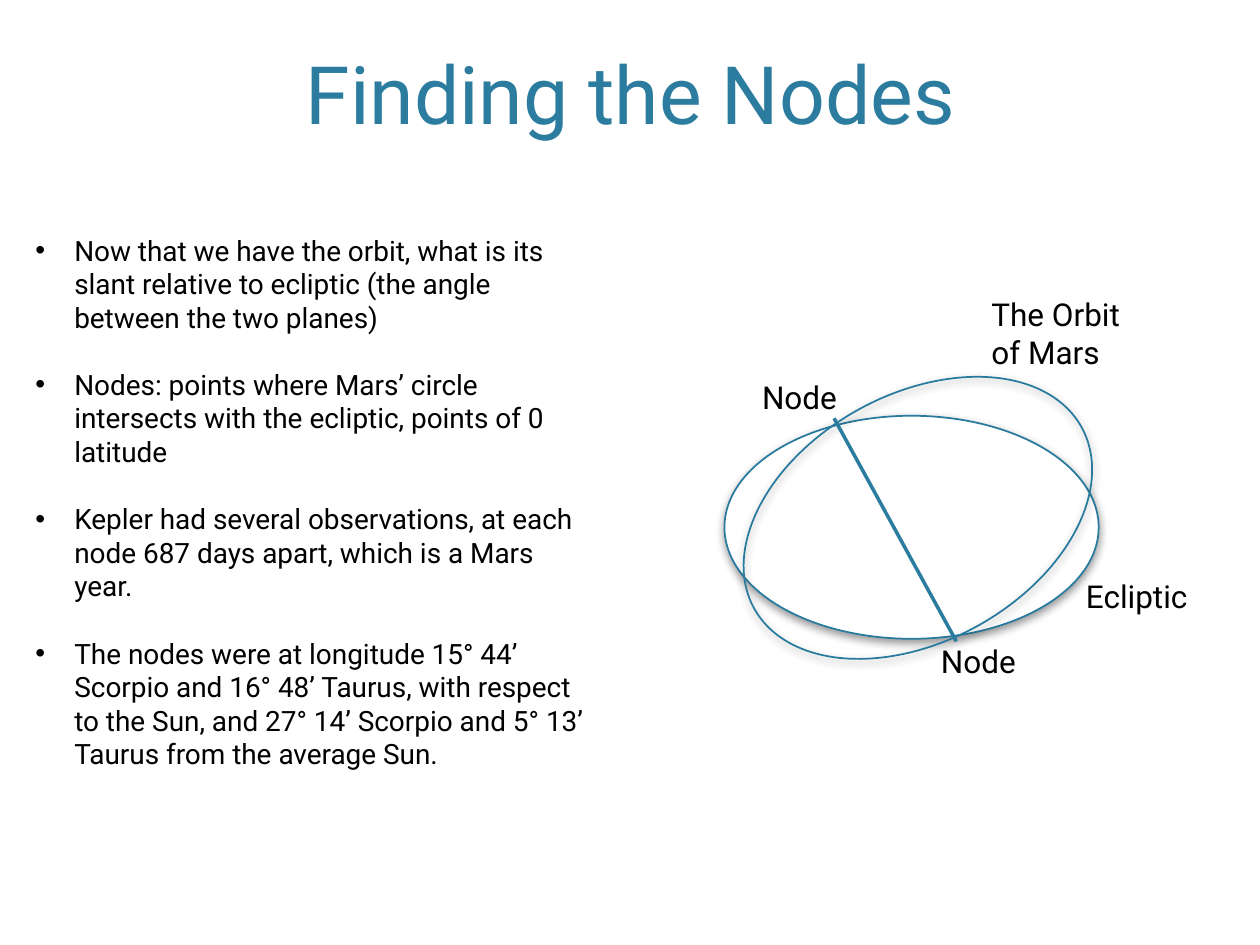
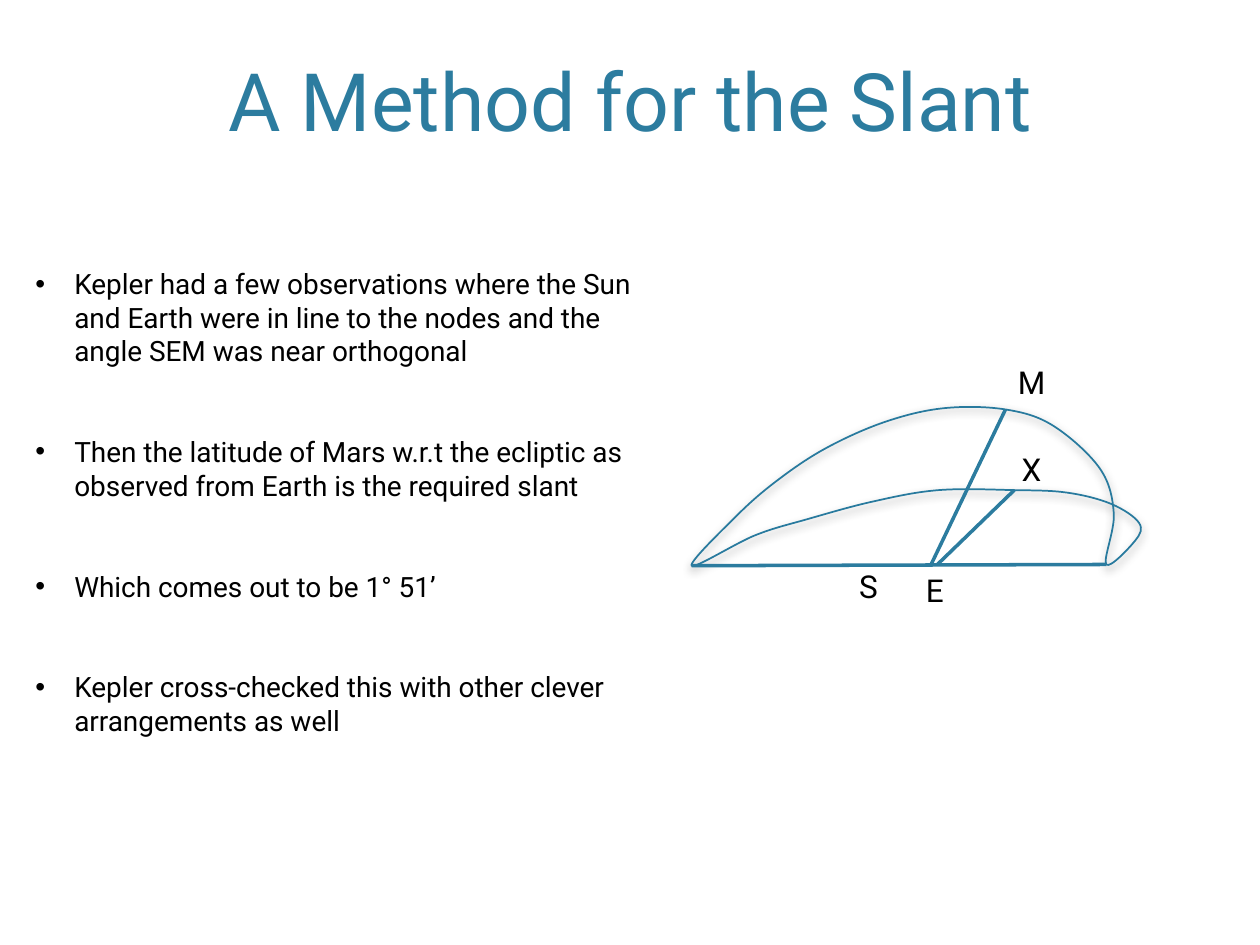
from dataclasses import dataclass

from lxml import etree
from pptx import Presentation
from pptx.dml.color import RGBColor
from pptx.enum.shapes import MSO_CONNECTOR, MSO_SHAPE
from pptx.enum.text import MSO_ANCHOR, MSO_AUTO_SIZE, PP_ALIGN
from pptx.oxml.ns import qn
from pptx.shapes.base import BaseShape
from pptx.slide import Slide
from pptx.text.text import TextFrame
from pptx.util import Inches, Pt

STRAIGHT = MSO_CONNECTOR.STRAIGHT
OVAL = MSO_SHAPE.OVAL
BOTTOM, TOP = MSO_ANCHOR.BOTTOM, MSO_ANCHOR.TOP
FIXED, GROW = MSO_AUTO_SIZE.NONE, MSO_AUTO_SIZE.SHAPE_TO_FIT_TEXT
LEFT, CENTER = PP_ALIGN.LEFT, PP_ALIGN.CENTER

Point = tuple[float, float]
Box = tuple[float, float, float, float]


@dataclass(frozen=True)
class Theme:
    font: str = "Roboto"
    accent: RGBColor = RGBColor(0x2C, 0x7C, 0x9F)
    edge: RGBColor = RGBColor(0x28, 0x7A, 0x9E)
    ink: RGBColor = RGBColor(0, 0, 0)
    paper: RGBColor = RGBColor(255, 255, 255)
    title: int = 46
    body: int = 16
    label: int = 18
    row: float = 19.2  # height of one body line, in points
    indent: float = 0.31
    inset: float = 0.05  # space above and below text
    step: float = 0.3  # height of one label line, in inches


THEME = Theme()


@dataclass(frozen=True)
class Page:
    title: str
    high: float  # title height
    items: list[str]
    size: Point  # list width and height
    gap: int  # body lines between items
    lead: int = 0  # body lines above the first item


@dataclass(frozen=True)
class Label:
    text: str
    left: float
    top: float
    width: float

    @property
    def box(self) -> Box:
        rows = len(self.text.splitlines())
        high = rows * THEME.step + 2 * THEME.inset
        return self.left, self.top, self.width, high


@dataclass(frozen=True)
class Line:
    start: Point
    end: Point


@dataclass(frozen=True)
class Orbit:
    box: Box
    turn: float = 0
    solid: bool = False


# Slide 1: two orbits crossing at the nodes
NODES = Page("Finding the Nodes", 1.01, [
    "Now that we have the orbit, what is its slant relative to ecliptic "
    "(the angle between the two planes)",
    "Nodes: points where Mars’ circle intersects with the ecliptic, "
    "points of 0 latitude",
    "Kepler had several observations, at each node 687 days apart, "
    "which is a Mars year.",
    "The nodes were at longitude 15° 44’ Scorpio and 16° 48’ Taurus, "
    "with respect to the Sun, and 27° 14’ Scorpio and 5° 13’ Taurus "
    "from the average Sun.",
], (4.67, 6.93), gap=1)

ORBITS = [
    Orbit((5.75, 3.3, 2.97, 1.77), solid=True),
    Orbit((5.8, 3.13, 2.97, 1.96), turn=331),
]
AXIS = [Line((6.62, 3.32), (7.59, 5.09))]
NAMES = [
    Label("Ecliptic", 8.52, 4.53, 1.09),
    Label("The Orbit\nof Mars", 7.77, 2.29, 1.32),
    Label("Node", 7.37, 5.05, 0.83),
    Label("Node", 5.95, 2.95, 0.83),
]

# Slide 2: half orbits with the sight lines
SLANT = Page("A Method for the Slant", 1.06, [
    "Kepler had a few observations where the Sun and Earth were in line "
    "to the nodes and the angle SEM was near orthogonal",
    "Then the latitude of Mars w.r.t the ecliptic as observed from Earth "
    "is the required slant",
    "Which comes out to be 1° 51’",
    "Kepler cross-checked this with other clever arrangements as well",
], (5.02, 5.86), gap=2, lead=1)

# The two nodes, Mars, and the point X below it on the ecliptic
WEST, EAST = (5.49, 4.49), (8.78, 4.48)
MARS, FOOT = (7.98, 3.25), (8.05, 3.89)
# One loop: out along the path of Mars, back along the ecliptic
RISE = [(5.84, 4.1), (6.16, 3.82), (6.55, 3.56), (7.02, 3.35), (7.49, 3.24)]
FALL = [(8.36, 3.38), (8.73, 3.72), (8.84, 4.08)]
BEND = [(9.01, 4.29), (9.04, 4.15), (8.82, 4), (8.47, 3.91)]
BACK = [(7.45, 3.89), (6.93, 3.98), (6.41, 4.12), (5.99, 4.25)]
LOOP = [WEST, *RISE, MARS, *FALL, EAST, *BEND, FOOT, *BACK]
RAYS = [
    Line(WEST, EAST),
    Line(MARS, (7.39, 4.48)),
    Line(FOOT, (7.44, 4.48)),
]
MARKS = [
    Label("S", 6.72, 4.45, 0.37),
    Label("E", 7.25, 4.48, 0.37),
    Label("M", 7.98, 2.83, 0.43),
    Label("X", 8.01, 3.52, 0.37),
]


def place(shape: BaseShape, box: Box) -> None:
    shape.left, shape.top, shape.width, shape.height = map(Inches, box)


def style(frame: TextFrame, size: int, color: RGBColor, align: PP_ALIGN) -> None:
    for para in frame.paragraphs:
        para.alignment = align
        para.font.name = THEME.font
        para.font.size = Pt(size)
        para.font.color.rgb = color


def add_page(deck: Presentation, page: Page) -> Slide:
    slide = deck.slides.add_slide(deck.slide_layouts[1])
    # Title
    title = slide.shapes.title
    place(title, (0.6, 0.16, 8.8, page.high))
    frame = title.text_frame
    frame.text = page.title
    frame.vertical_anchor = BOTTOM
    frame.auto_size = FIXED
    style(frame, THEME.title, THEME.accent, CENTER)
    # Bullet list
    body = slide.placeholders[1]
    place(body, (0.18, 1.8, *page.size))
    frame = body.text_frame
    frame.text = "\n".join(page.items)
    frame.vertical_anchor = TOP
    frame.auto_size = FIXED
    frame.margin_top = Inches(THEME.inset) + Pt(page.lead * THEME.row)
    style(frame, THEME.body, THEME.ink, LEFT)
    for para in frame.paragraphs:
        para.space_before = Pt(0)
        para.space_after = Pt(page.gap * THEME.row)
    for props in body.element.iter(qn("a:pPr")):
        props.set("marL", str(Inches(THEME.indent)))
        props.set("indent", str(-Inches(THEME.indent)))
    return slide


def outline(shape: BaseShape, solid: bool = False) -> None:
    """Thin edge with a soft shadow straight below."""
    if solid:
        shape.fill.solid()
        shape.fill.fore_color.rgb = THEME.paper
    else:
        shape.fill.background()
    shape.line.color.rgb = THEME.edge
    shape.line.width = Pt(1)
    shape.shadow.inherit = False
    effects = shape.element.spPr.find(qn("a:effectLst"))
    shade = etree.SubElement(
        effects, qn("a:outerShdw"), blurRad=str(Pt(5)), dist=str(Pt(2)),
        dir="5400000", rotWithShape="0")
    color = etree.SubElement(shade, qn("a:srgbClr"), val="000000")
    etree.SubElement(color, qn("a:alpha"), val="40000")


def add_orbit(slide: Slide, orbit: Orbit) -> None:
    shape = slide.shapes.add_shape(OVAL, *map(Inches, orbit.box))
    shape.rotation = orbit.turn
    outline(shape, orbit.solid)


def shift(knot: Point, prev: Point, after: Point, part: float) -> Point:
    """Move a knot by a part of the step between its neighbours."""
    return (knot[0] + (after[0] - prev[0]) * part,
            knot[1] + (after[1] - prev[1]) * part)


def smooth(knots: list[Point]) -> list[Point]:
    """Two controls and an end per curve of a closed Catmull-Rom spline."""
    count = len(knots)
    points = []
    for i in range(count):
        prev, start, end, after = (knots[(i + k) % count] for k in (-1, 0, 1, 2))
        points += [shift(start, prev, end, 1 / 6),
                   shift(end, start, after, -1 / 6), end]
    return points


def add_loop(slide: Slide, knots: list[Point]) -> None:
    start, *rest = [(Inches(x), Inches(y)) for x, y in knots[:1] + smooth(knots)]
    pen = slide.shapes.build_freeform(*start)
    pen.add_line_segments(rest, close=True)
    shape = pen.convert_to_shape()
    # Join each three straight steps into one Bézier curve
    steps = list(shape.element.iter(qn("a:lnTo")))
    for trio in zip(steps[::3], steps[1::3], steps[2::3]):
        curve = etree.Element(qn("a:cubicBezTo"))
        trio[0].addprevious(curve)
        for step in trio:
            curve.append(step[0])
            step.getparent().remove(step)
    outline(shape)


def add_line(slide: Slide, line: Line) -> None:
    shape = slide.shapes.add_connector(
        STRAIGHT, *map(Inches, line.start + line.end))
    shape.line.color.rgb = THEME.accent
    shape.line.width = Pt(2)
    etree.SubElement(shape.element.spPr, qn("a:effectLst"))


def add_label(slide: Slide, label: Label) -> None:
    frame = slide.shapes.add_textbox(*map(Inches, label.box)).text_frame
    frame.text = label.text
    frame.word_wrap = False
    frame.auto_size = GROW
    style(frame, THEME.label, THEME.ink, LEFT)


def add_parts(slide: Slide, lines: list[Line], labels: list[Label]) -> None:
    for line in lines:
        add_line(slide, line)
    for label in labels:
        add_label(slide, label)


def main() -> None:
    deck = Presentation()
    deck.slide_width, deck.slide_height = Inches(10), Inches(7.5)

    slide = add_page(deck, NODES)
    for orbit in ORBITS:
        add_orbit(slide, orbit)
    add_parts(slide, AXIS, NAMES)

    slide = add_page(deck, SLANT)
    add_loop(slide, LOOP)
    add_parts(slide, RAYS, MARKS)

    deck.save("out.pptx")


if __name__ == "__main__":
    main()
